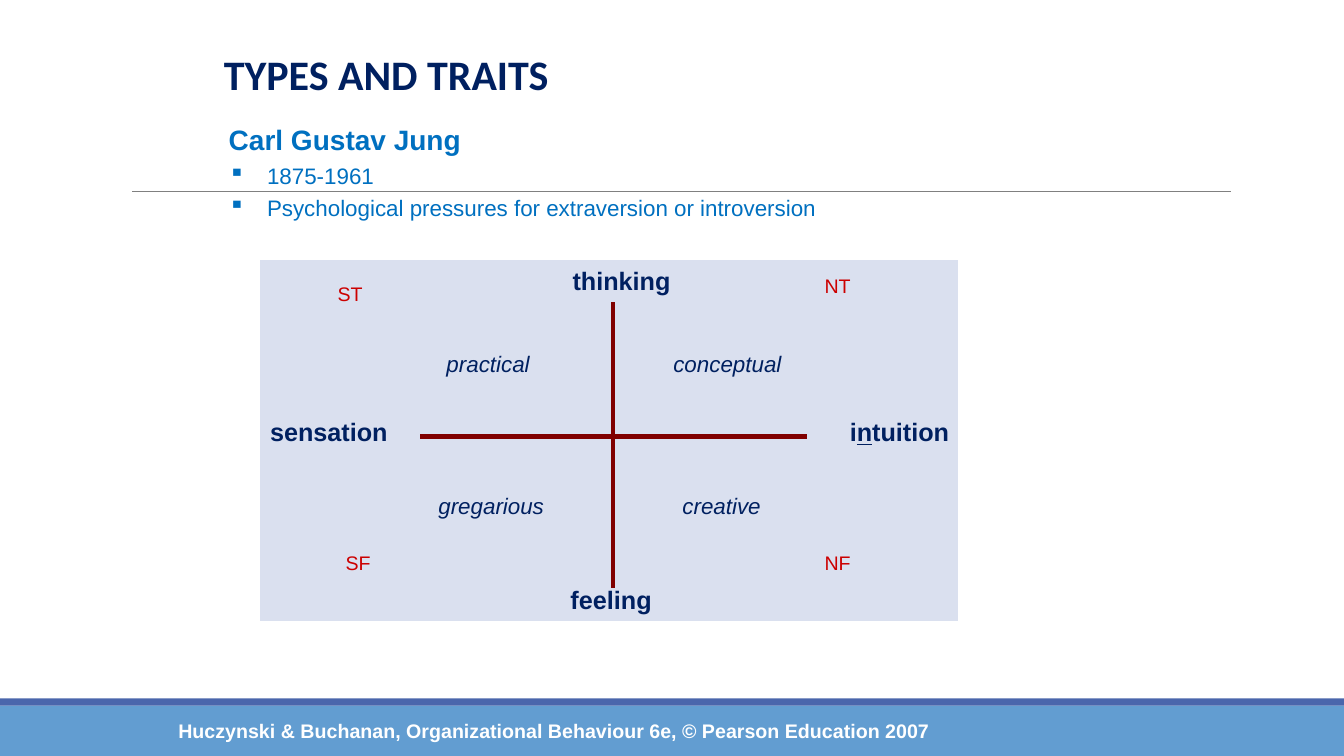
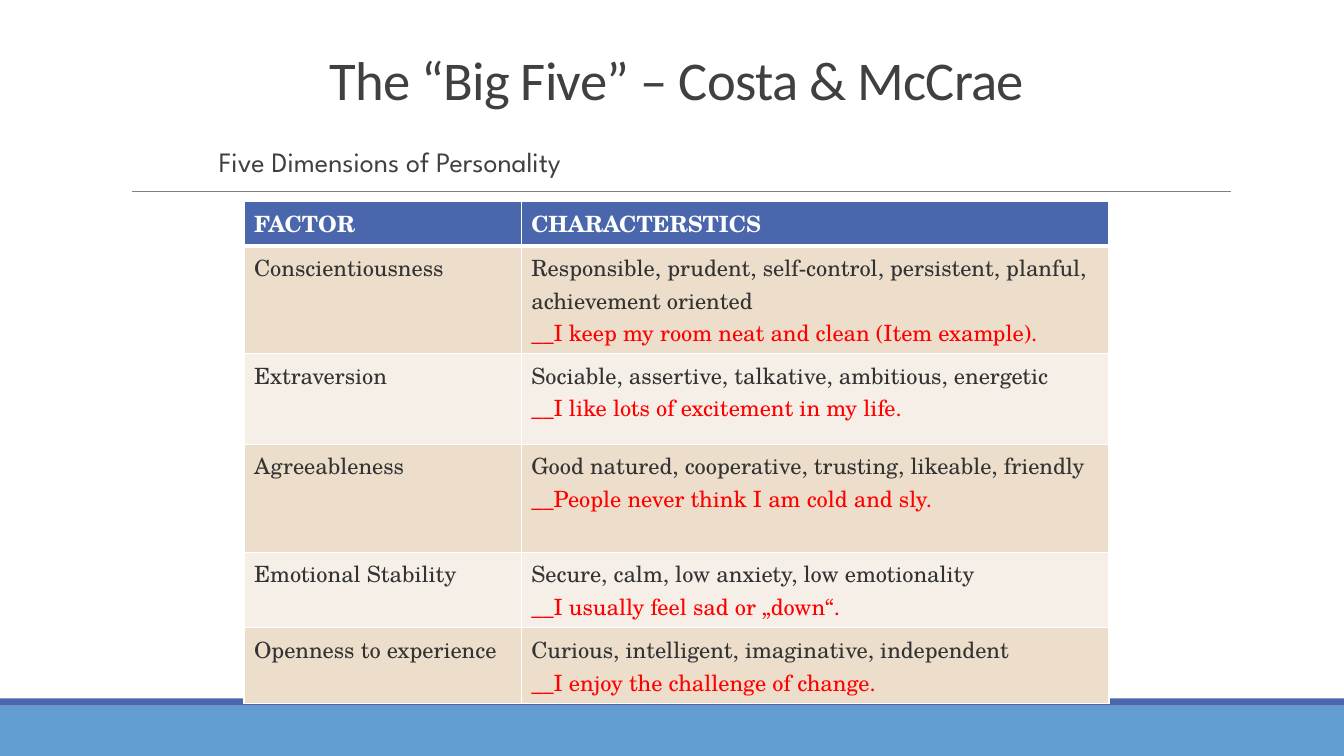
from lxml.etree import SubElement
from pptx import Presentation
from pptx.dml.color import RGBColor
from pptx.enum.shapes import MSO_CONNECTOR, MSO_SHAPE
from pptx.enum.text import MSO_ANCHOR, MSO_AUTO_SIZE, PP_ALIGN
from pptx.oxml.ns import qn
from pptx.util import Inches, Pt

COLORS = {
    "white": "FFFFFF", "band": "629DD1", "accent": "4A66AC", "rule": "808080",
    "navy": "002060", "blue": "0070C0", "panel": "DAE0EF", "axis": "800000",
    "code": "CC0000", "title": "404040", "text": "333333", "item": "FF0000",
    "row_dark": "ECDECB", "row_light": "F6EFE7",
}

# Text formats
FOOTER = {"name": "Arial", "size": 14, "bold": True, "color": "white"}
PERSON = {"name": "Arial", "size": 20, "bold": True, "color": "blue"}
FACT = {"name": "Arial", "size": 16, "color": "blue"}
POLE = {"name": "Arial", "size": 18, "bold": True, "color": "navy"}
STYLE = {"name": "Arial", "size": 16, "italic": True, "color": "navy"}
CODE = {"name": "Arial", "size": 14, "color": "code"}
TITLE_BOLD = {"name": "Calibri", "size": 30, "bold": True, "color": "navy"}
TITLE_LIGHT = {"name": "Calibri", "size": 39, "bold": False, "color": "title"}
SUBTITLE = {"name": "League Spartan", "size": 20, "color": "title"}
CELL = {"name": "TeX Gyre Schola", "size": 16, "bold": False, "color": "text"}
HEAD = {**CELL, "bold": True, "color": "white"}
ITEM = {**CELL, "color": "item"}

# Label text, left, top, width, format
JUNG_LABELS = [
    ("thinking", 5.58, 2.58, 1.25, POLE),
    ("feeling", 5.56, 5.75, 1.08, POLE),
    ("sensation", 2.58, 4.08, 1.42, POLE),
    ("ST", 3.25, 2.75, 0.5, CODE),
    ("NT", 8.08, 2.67, 0.5, CODE),
    ("SF", 3.33, 5.42, 0.5, CODE),
    ("NF", 8.08, 5.42, 0.5, CODE),
    ("practical", 4.33, 3.42, 1.08, STYLE),
    ("conceptual", 6.58, 3.42, 1.42, STYLE),
    ("gregarious", 4.25, 4.83, 1.33, STYLE),
    ("creative", 6.67, 4.83, 1.08, STYLE),
]

# Factor, characteristics, item example, row height
BIG_FIVE = [
    ("Conscientiousness",
     "Responsible, prudent, self-control, persistent, planful, achievement oriented",
     "__I keep my room neat and clean (Item example).", 1.07),
    ("Extraversion", "Sociable, assertive, talkative, ambitious, energetic",
     "__I like lots of excitement in my life.", 0.9),
    ("Agreeableness", "Good natured, cooperative, trusting, likeable, friendly",
     "__People never think I am cold and sly.", 1.07),
    ("Emotional Stability", "Secure, calm, low anxiety, low emotionality",
     "__I usually feel sad or „down“.", 0.75),
    ("Openness to experience", "Curious, intelligent, imaginative, independent",
     "__I enjoy the challenge of change.", 0.75),
]


def rgb(name):
    return RGBColor.from_string(COLORS[name])


def box(left, top, width, height):
    return [Inches(v) for v in (left, top, width, height)]


def add_run(p, text, fmt):
    r = p.add_run()
    r.text = text
    for key, value in fmt.items():
        if key == "color":
            r.font.color.rgb = rgb(value)
        else:
            setattr(r.font, key, Pt(value) if key == "size" else value)
    return r


def add_bullet(p, char="▪", indent=0.38):
    pPr = p._p.get_or_add_pPr()
    pPr.set("marL", str(Inches(indent)))
    pPr.set("indent", str(-Inches(indent)))
    SubElement(pPr, qn("a:buChar")).set("char", char)


def add_text(s, at, runs):
    """Add a text box whose first paragraph holds the (text, format) runs."""
    tf = s.shapes.add_textbox(*box(*at)).text_frame
    tf.word_wrap = True
    for text, fmt in runs:
        add_run(tf.paragraphs[0], text, fmt)
    return tf


def add_rect(s, at, color):
    sp = s.shapes.add_shape(MSO_SHAPE.RECTANGLE, *box(*at))
    sp.shadow.inherit = False
    sp.fill.solid()
    sp.fill.fore_color.rgb = rgb(color)
    sp.line.fill.background()


def add_line(s, ends, color, width):
    line = s.shapes.add_connector(MSO_CONNECTOR.STRAIGHT, *box(*ends))
    line.line.color.rgb = rgb(color)
    line.line.width = Pt(width)
    SubElement(line._element.spPr, qn("a:effectLst"))


def set_title(s, text, at, fmt, align):
    sp = s.shapes.title
    sp.left, sp.top, sp.width, sp.height = box(*at)
    tf = sp.text_frame
    tf.auto_size = MSO_AUTO_SIZE.NONE
    tf.vertical_anchor = MSO_ANCHOR.BOTTOM
    p = tf.paragraphs[0]
    p.alignment = align
    return p, add_run(p, text, fmt)


def add_base(prs):
    """Add a slide with the shared footer bands and rule."""
    s = prs.slides.add_slide(prs.slide_layouts[5])
    add_rect(s, (0, 7, 13.33, 0.5), "band")
    add_rect(s, (0, 6.93, 13.33, 0.07), "accent")
    add_line(s, (1.31, 1.9, 12.21, 1.9), "rule", 0.5)
    return s


def set_borders(cell, top, bottom):
    tcPr = cell._tc.get_or_add_tcPr()
    for side, width in (("L", 1), ("R", 1), ("T", top), ("B", bottom)):
        ln = SubElement(tcPr, qn(f"a:ln{side}"), w=str(Pt(width)))
        fill = SubElement(ln, qn("a:solidFill"))
        SubElement(fill, qn("a:srgbClr"), val=COLORS["white"])


def fill_cell(cell, lines, color, top=1, bottom=1):
    set_borders(cell, top, bottom)
    cell.fill.solid()
    cell.fill.fore_color.rgb = rgb(color)
    tf = cell.text_frame
    for i, (text, fmt) in enumerate(lines):
        add_run(tf.add_paragraph() if i else tf.paragraphs[0], text, fmt)


def add_factor_table(s):
    widths = [2.75, 5.83]
    heights = [0.44] + [row[-1] for row in BIG_FIVE]
    at = box(2.42, 2, sum(widths), sum(heights))
    table = s.shapes.add_table(len(heights), len(widths), *at).table
    for col, width in zip(table.columns, widths):
        col.width = Inches(width)
    for row, height in zip(table.rows, heights):
        row.height = Inches(height)
    for c, text in enumerate(("FACTOR", "CHARACTERSTICS")):
        fill_cell(table.cell(0, c), [(text, HEAD)], "accent", bottom=3)
    for r, (factor, traits, item, _) in enumerate(BIG_FIVE, 1):
        color = "row_dark" if r % 2 else "row_light"
        top = 3 if r == 1 else 1
        fill_cell(table.cell(r, 0), [(factor, CELL)], color, top)
        fill_cell(table.cell(r, 1), [(traits, CELL), (item, ITEM)], color, top)


def build_types(prs):
    s = add_base(prs)
    set_title(s, "TYPES AND TRAITS", (2.12, 0.33, 8.17, 0.7), TITLE_BOLD, PP_ALIGN.LEFT)
    add_text(s, (1.67, 7.08, 7.83, 0.42), [(
        "Huczynski & Buchanan, Organizational Behaviour 6e, © Pearson Education 2007",
        FOOTER)])

    # Person and facts
    tf = add_text(s, (2.17, 1.17, 9.08, 1.25), [("Carl Gustav Jung", PERSON)])
    for fact in ("1875-1961", "Psychological pressures for extraversion or introversion"):
        p = tf.add_paragraph()
        p.space_before = Pt(3.7)
        add_bullet(p)
        add_run(p, fact, FACT)

    # Panel with two axes and its labels
    add_rect(s, (2.58, 2.58, 6.92, 3.58), "panel")
    add_line(s, (6.08, 3, 6.08, 5.83), "axis", 3)
    add_line(s, (4.17, 4.33, 8, 4.33), "axis", 3)
    for text, left, top, width, fmt in JUNG_LABELS:
        add_text(s, (left, top, width, 0.42), [(text, fmt)])
    add_text(s, (8.33, 4.08, 1.25, 0.42),
             [("i", POLE), ("n", {**POLE, "underline": True}), ("tuition", POLE)])


def build_big_five(prs):
    s = add_base(prs)
    p, r = set_title(s, "The “Big Five” – Costa & McCrae", (2.17, 0.3, 9.08, 0.86),
                     TITLE_LIGHT, PP_ALIGN.CENTER)
    p.line_spacing = 0.85
    r._r.get_or_add_rPr().set("spc", "-50")

    tf = add_text(s, (2.17, 1.42, 9.5, 0.45), [("Five Dimensions of Personality", SUBTITLE)])
    tf.margin_left = tf.margin_right = 0
    tf.paragraphs[0].line_spacing = 0.9
    add_factor_table(s)


def main():
    prs = Presentation()
    prs.slide_width, prs.slide_height = Inches(13.33), Inches(7.5)
    build_types(prs)
    build_big_five(prs)
    prs.save("out.pptx")


if __name__ == "__main__":
    main()
